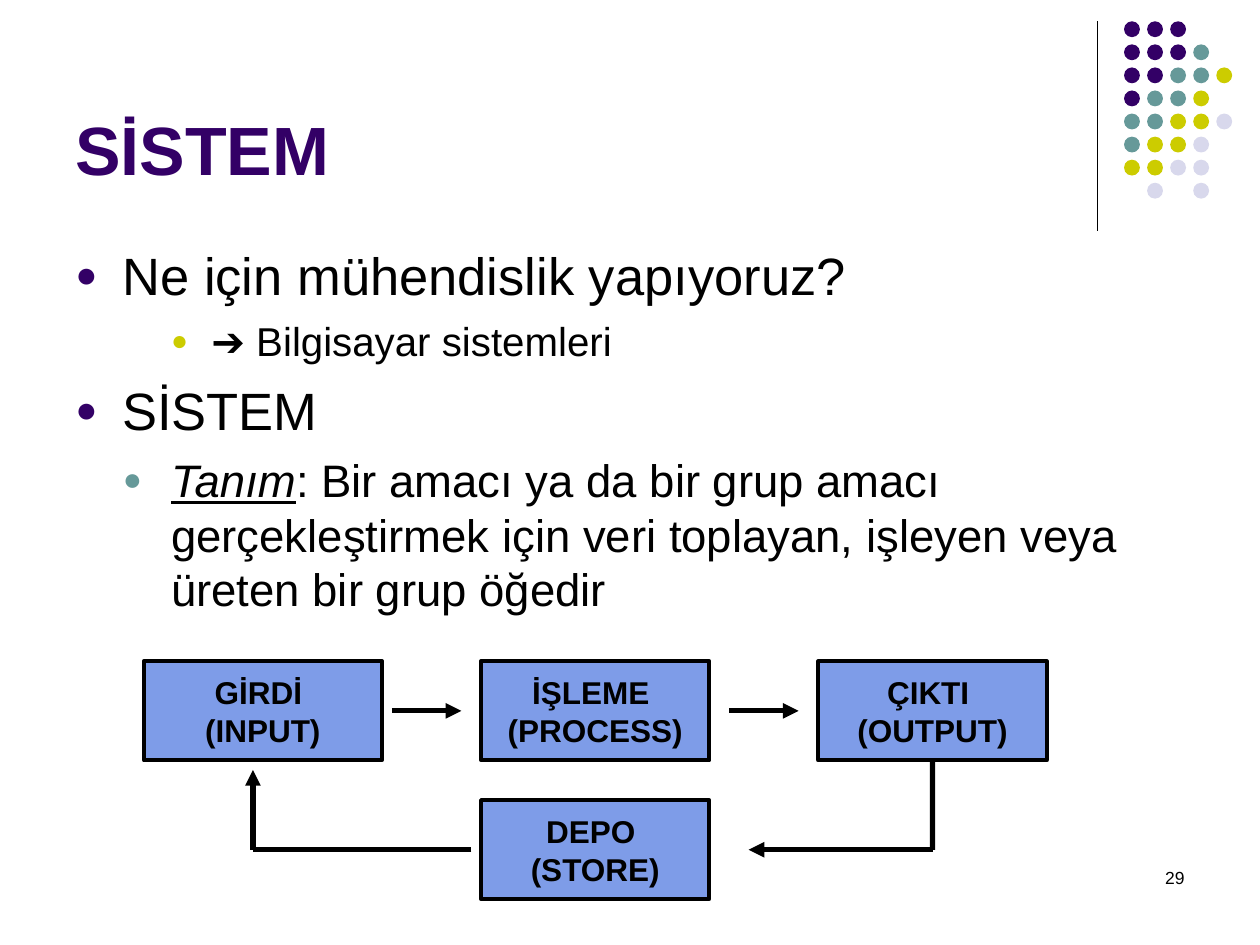
import pptx
import pptx.dml.color
import pptx.enum.shapes
import pptx.enum.text
import pptx.oxml.ns
import pptx.util
from lxml import etree

Cm = pptx.util.Cm
Pt = pptx.util.Pt
RGB = pptx.dml.color.RGBColor
KIND = pptx.enum.shapes.MSO_SHAPE
ALIGN = pptx.enum.text.PP_ALIGN
ANCHOR = pptx.enum.text.MSO_ANCHOR
qn = pptx.oxml.ns.qn

BLACK = RGB(0x00, 0x00, 0x00)
PURPLE = RGB(0x33, 0x00, 0x66)
TEAL = RGB(0x66, 0x99, 0x99)
YELLOW = RGB(0xCC, 0xCC, 0x00)
PALE = RGB(0xD8, 0xD8, 0xEC)
BLUE = RGB(0x7E, 0x9C, 0xE8)

LEVELS = [
    (30, 0.95, 0.95, 7.5, PURPLE),
    (26, 1.93, 0.97, 6.5, TEAL),
    (23, 2.74, 0.81, 5.8, YELLOW),
]
DOTS = ["PPP", "PPPT", "PPTTY", "PTTY", "TTYYL", "TYYL", "YYLL", " L L"]
TINTS = {"P": PURPLE, "T": TEAL, "Y": YELLOW, "L": PALE}


class Slide:
    face = "Arial"

    def __init__(self, deck):
        self.page = deck.slides.add_slide(deck.slide_layouts[6])
        self.shapes = self.page.shapes

    def style(self, para, size, color=BLACK, bold=False, align=ALIGN.LEFT):
        para.alignment = align
        font = para.font
        font.name = self.face
        font.size = Pt(size)
        font.bold = bold
        font.color.rgb = color

    def frame(self, x, y, w, h):
        frame = self.shapes.add_textbox(Cm(x), Cm(y), Cm(w), Cm(h)).text_frame
        frame.word_wrap = True
        return frame

    def text(self, words, x, y, w, h, size, anchor=ANCHOR.TOP, **look):
        frame = self.frame(x, y, w, h)
        frame.vertical_anchor = anchor
        frame.text = words
        self.style(frame.paragraphs[0], size, **look)

    def bullet(self, para, level):
        size, left, hang, gap, color = LEVELS[level]
        para.level = level
        props = para._p.get_or_add_pPr()
        props.set("marL", str(Cm(left)))
        props.set("indent", str(-Cm(hang)))
        tint = etree.SubElement(props, qn("a:buClr"))
        etree.SubElement(tint, qn("a:srgbClr"), val=str(color))
        etree.SubElement(props, qn("a:buSzPct"), val="70000")
        etree.SubElement(props, qn("a:buFont"), typeface=self.face)
        etree.SubElement(props, qn("a:buChar"), char="●")
        para.space_before = Pt(gap)
        self.style(para, size)

    def list(self, items, x, y, w, h):
        frame = self.frame(x, y, w, h)
        for i, (level, term, words) in enumerate(items):
            para = frame.add_paragraph() if i else frame.paragraphs[0]
            if term:
                run = para.add_run()
                run.text = term
                run.font.italic = True
                run.font.underline = True
            para.add_run().text = words
            self.bullet(para, level)

    def shape(self, kind, x, y, w, h, fill):
        shape = self.shapes.add_shape(kind, Cm(x), Cm(y), Cm(w), Cm(h))
        shape.shadow.inherit = False
        shape.fill.solid()
        shape.fill.fore_color.rgb = fill
        return shape

    def dot(self, x, y, fill):
        self.shape(KIND.OVAL, x, y, 0.32, 0.32, fill).line.fill.background()

    def box(self, words, x, y, w=4.6):
        box = self.shape(KIND.RECTANGLE, x, y, w, 2, BLUE)
        box.line.color.rgb = BLACK
        box.line.width = Pt(2.25)
        frame = box.text_frame
        frame.word_wrap = False
        frame.vertical_anchor = ANCHOR.MIDDLE
        frame.text = words
        for para in frame.paragraphs:
            self.style(para, 18, bold=True, align=ALIGN.CENTER)
        return box

    def line(self, x1, y1, x2, y2, width=3, arrow=False):
        line = self.shapes.add_connector(
            pptx.enum.shapes.MSO_CONNECTOR.STRAIGHT,
            Cm(x1), Cm(y1), Cm(x2), Cm(y2))
        line.line.color.rgb = BLACK
        line.line.width = Pt(width)
        if arrow:
            etree.SubElement(line.line._get_or_add_ln(), qn("a:tailEnd"), type="triangle")
        etree.SubElement(line._element.spPr, qn("a:effectLst"))
        return line


def main():
    deck = pptx.Presentation()
    deck.slide_width = Cm(25.4)
    deck.slide_height = Cm(19.05)
    slide = Slide(deck)

    slide.line(22.12, 0.43, 22.12, 4.65, width=0.75)
    for row, marks in enumerate(DOTS):
        for col, mark in enumerate(marks):
            if mark in TINTS:
                slide.dot(22.66 + 0.465 * col, 0.43 + 0.465 * row, TINTS[mark])

    slide.text("29", 18.21, 17.35, 5.92, 1.27, 10, align=ALIGN.RIGHT)
    slide.text("SİSTEM", 1.27, 0.33, 20.96, 3.6, 39, ANCHOR.BOTTOM,
               color=PURPLE, bold=True)
    slide.list([
        (0, "", "Ne için mühendislik yapıyoruz?"),
        (2, "", "➔ Bilgisayar sistemleri"),
        (0, "", "SİSTEM"),
        (1, "Tanım", ": Bir amacı ya da bir grup amacı gerçekleştirmek için "
                     "veri toplayan, işleyen veya üreten bir grup öğedir"),
    ], 1.27, 4.78, 22.86, 12.24)

    left, step, top, low = 2.9, 6.8, 13.33, 16.13
    slide.box("GİRDİ \n(INPUT)", left, top, 4.8)
    slide.box("İŞLEME \n(PROCESS)", left + step, top)
    output = slide.box("ÇIKTI \n(OUTPUT)", left + 2 * step, top)
    slide.box("DEPO \n(STORE)", left + step, low)

    for i in range(2):
        x = 7.9 + step * i
        slide.line(x, top + 1, x + 1.4, top + 1, arrow=True)
    turn, back, base = left + 2 * step + 2.3, 5.1, low + 1
    slide.line(turn, top + 2, turn, base).begin_connect(output, 2)
    slide.line(turn, base, 15.09, base, arrow=True)
    slide.line(9.5, base, back, base)
    slide.line(back, base, back, 15.52, arrow=True)
    deck.save("out.pptx")


if __name__ == "__main__":
    main()
